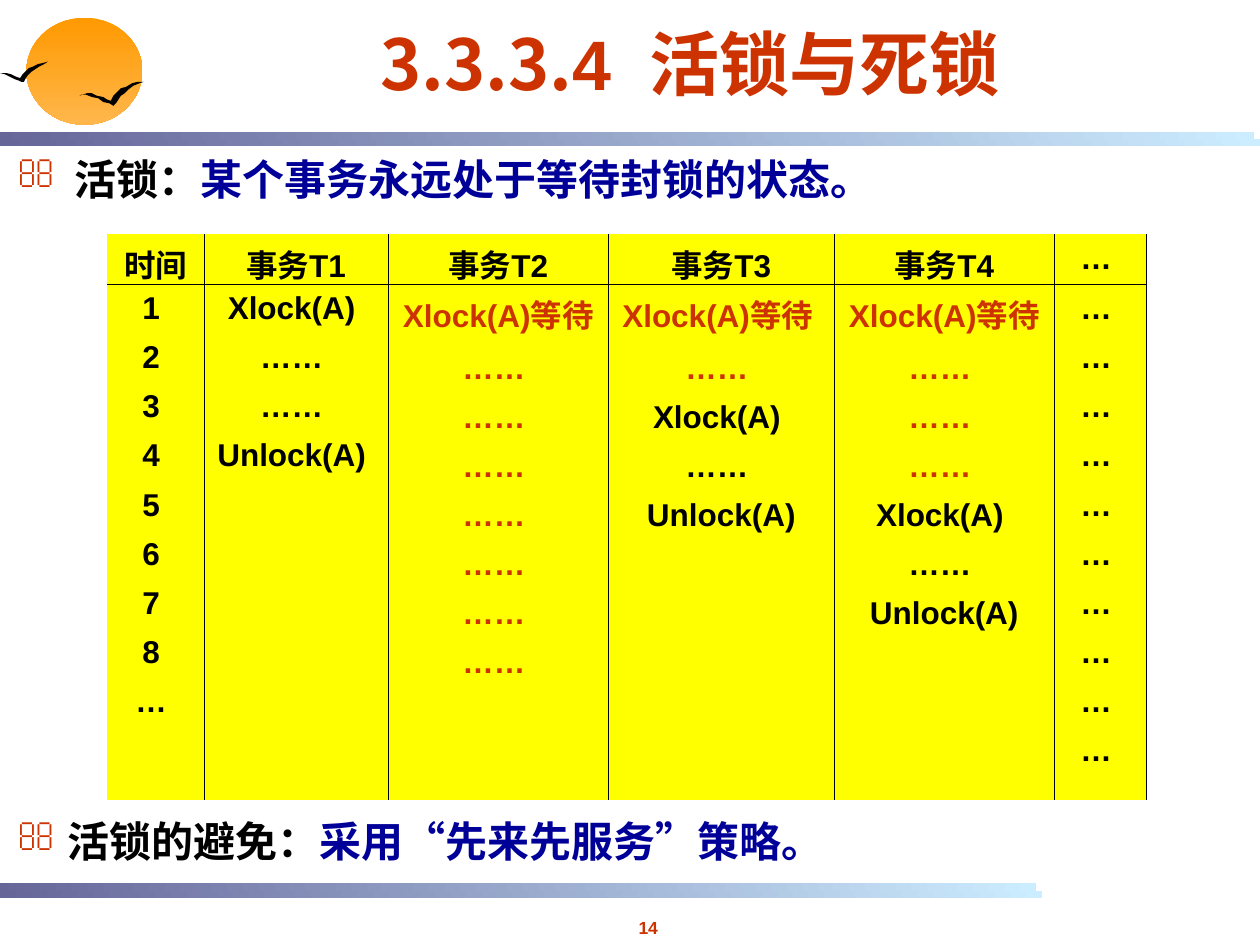
from lxml.etree import SubElement
from pptx import Presentation
from pptx.dml.color import RGBColor
from pptx.enum.shapes import MSO_SHAPE
from pptx.enum.text import MSO_ANCHOR, PP_ALIGN
from pptx.oxml.ns import qn
from pptx.util import Inches, Pt

COLORS = {
    "red": "CC3300", "navy": "000099", "black": "000000", "yellow": "FFFF00",
    "band_start": "666699", "band_end": "CCECFF",
    "sun_top": "FF9900", "sun_bottom": "FFB74C",
}
LATIN, EAST_ASIAN = "Arial", "Noto Sans CJK JP"
NO_GRID_STYLE = "{2D5ABB26-0587-4C30-8999-92F81FD0307C}"

# Content: text runs are (text, format values)
TITLE = [
    ("3.3.3.", {"name": EAST_ASIAN}),
    ("4", {}),
    (" ", {"spacing": 11}),
    ("活锁与死锁", {}),
]
PAGE_NUMBER = [("14", {})]

# Bullets: left, top, width, height, hanging indent, line spacing, runs
BULLETS = [
    (0.04, 1.17, 8.79, 0.56, 0.45, 1.0,
     [("活锁：", {}), ("某个事务永远处于等待封锁的状态。", {"color": "navy"})]),
    (0.04, 6.47, 7.02, 0.46, 0.4, 0.9,
     [("活锁的避免：", {}), ("采用“先来先服务”策略。", {"color": "navy"})]),
]

# Table columns: width, heading, number of waiting (red) lines, lines
WAIT, DOTS, ETC = "Xlock(A)等待 ", "…… ", "… "
SCHEDULE = [
    (0.77, "时间", 0, [f"{step} " for step in range(1, 9)] + [ETC]),
    (1.46, "事务T1", 0, ["Xlock(A) ", DOTS, DOTS, "Unlock(A) "]),
    (1.75, "事务T2", 8, [WAIT] + [DOTS] * 7),
    (1.79, "事务T3", 2, [WAIT, DOTS, "Xlock(A) ", DOTS, "Unlock(A)"]),
    (1.75, "事务T4", 4, [WAIT] + [DOTS] * 3 + ["Xlock(A) ", DOTS, "Unlock(A)"]),
    (0.73, ETC, 0, [ETC] * 10),
]
ROW_HEIGHTS = (0.4, 4.09)

# Bands: left, top, width
BANDS = [(0, 1.1, 10), (0, 7.07, 8.27), (-0.05, 1.05, 10), (-0.05, 7.01, 8.27)]

# Bird outlines, in hundredths of an inch
BIRDS = [
    [(-5, 59), (-2, 58), (5, 58), (9, 59), (13, 61), (16, 62), (18, 59),
     (20, 57), (23, 54), (26, 53), (30, 51), (34, 50), (38, 49), (35, 51),
     (31, 53), (28, 55), (25, 57), (22, 60), (20, 63), (19, 65), (17, 65),
     (15, 64), (12, 63), (8, 61), (4, 59), (0, 58), (-3, 58)],
    [(63, 76), (66, 75), (69, 74), (73, 74), (77, 76), (82, 77), (85, 79),
     (88, 80), (90, 76), (93, 73), (96, 70), (100, 69), (105, 66), (109, 65),
     (114, 65), (111, 66), (106, 68), (102, 71), (99, 74), (96, 76), (94, 79),
     (92, 82), (90, 84), (87, 82), (82, 81), (78, 78), (73, 77), (68, 75),
     (65, 75)],
]


def rgb(name):
    return RGBColor.from_string(COLORS[name])


def write_runs(paragraph, runs, **defaults):
    for text, changes in runs:
        values = {"name": LATIN, "bold": True, "color": "black", **defaults, **changes}
        color, spacing = values.pop("color"), values.pop("spacing", 0)
        run = paragraph.add_run()
        run.text = text
        for attribute, value in values.items():
            setattr(run.font, attribute, value)
        run.font.color.rgb = rgb(color)
        properties = run.font._element
        if spacing:
            properties.set("spc", str(spacing * 100))
        SubElement(properties, qn("a:ea"), typeface=EAST_ASIAN)


def add_text(slide, box, wrap=True, anchor=MSO_ANCHOR.TOP):
    frame = slide.shapes.add_textbox(*map(Inches, box)).text_frame
    frame.word_wrap = wrap
    frame.vertical_anchor = anchor
    return frame.paragraphs[0]


def add_gradient_shape(slide, kind, box, colors, angle=0):
    shape = slide.shapes.add_shape(kind, *map(Inches, box))
    shape.shadow.inherit = False
    shape.line.fill.background()
    shape.fill.gradient()
    shape.fill.gradient_angle = angle
    for stop, position, color in zip(shape.fill.gradient_stops, (0, 1), colors):
        stop.position = position
        stop.color.rgb = rgb(color)


def add_bird(slide, points):
    builder = slide.shapes.build_freeform(*points[0], scale=Inches(0.01))
    builder.add_line_segments(points[1:], close=True)
    bird = builder.convert_to_shape()
    bird.shadow.inherit = False
    bird.fill.solid()
    bird.fill.fore_color.rgb = rgb("black")
    bird.line.fill.background()


def add_bullet(slide, left, top, width, height, indent, spacing, runs):
    paragraph = add_text(slide, (left, top, width, height))
    properties = paragraph._p.get_or_add_pPr()
    properties.set("marL", str(Inches(indent)))
    properties.set("indent", str(-Inches(indent)))
    bullet_color = SubElement(properties, qn("a:buClr"))
    SubElement(bullet_color, qn("a:srgbClr"), val=COLORS["red"])
    SubElement(properties, qn("a:buSzPct"), val="90000")
    SubElement(properties, qn("a:buFont"), typeface="Wingdings", charset="2")
    SubElement(properties, qn("a:buChar"), char="✂")
    paragraph.line_spacing = spacing
    write_runs(paragraph, runs, size=Pt(24))


def fill_cell(cell, lines, sides):
    for index, (text, color) in enumerate(lines):
        frame = cell.text_frame
        paragraph = frame.add_paragraph() if index else frame.paragraphs[0]
        paragraph.alignment = PP_ALIGN.CENTER
        if index:
            paragraph.space_before = Pt(7.9)
        write_runs(paragraph, [(text, {"color": color})], size=Pt(18))
    # Borders come before the fill in the cell properties
    properties = cell._tc.get_or_add_tcPr()
    for side in sides:
        line = SubElement(properties, qn(f"a:ln{side}"), w=str(Pt(0.45)))
        fill = SubElement(line, qn("a:solidFill"))
        SubElement(fill, qn("a:srgbClr"), val=COLORS["black"])
    cell.fill.solid()
    cell.fill.fore_color.rgb = rgb("yellow")


def add_schedule(slide):
    box = (0.85, 1.86, sum(column[0] for column in SCHEDULE), sum(ROW_HEIGHTS))
    table = slide.shapes.add_table(2, len(SCHEDULE), *map(Inches, box)).table
    table._tbl.tblPr.find(qn("a:tableStyleId")).text = NO_GRID_STYLE
    table.first_row = table.horz_banding = False
    for row, height in zip(table.rows, ROW_HEIGHTS):
        row.height = Inches(height)
    for index, (width, heading, waiting, lines) in enumerate(SCHEDULE):
        table.columns[index].width = Inches(width)
        left_side = ["L"] if index else []
        header, body = table.cell(0, index), table.cell(1, index)
        header.margin_bottom = 0
        fill_cell(header, [(heading, "black")], left_side + ["R", "B"])
        colored = [(text, "red" if number < waiting else "black")
                   for number, text in enumerate(lines)]
        fill_cell(body, colored, left_side + ["R", "T"])


def main():
    presentation = Presentation()
    presentation.slide_width, presentation.slide_height = Inches(10), Inches(7.5)
    slide = presentation.slides.add_slide(presentation.slide_layouts[6])

    # Page number
    number = add_text(slide, (4.71, 7.23, 0.87, 0.27), wrap=False)
    number.alignment = PP_ALIGN.CENTER
    write_runs(number, PAGE_NUMBER, size=Pt(10), color="red")

    # Bands, sun and birds
    for left, top, width in BANDS:
        add_gradient_shape(slide, MSO_SHAPE.RECTANGLE, (left, top, width, 0.06),
                           ("band_start", "band_end"))
    add_gradient_shape(slide, MSO_SHAPE.OVAL, (0.21, 0.14, 0.92, 0.85),
                       ("sun_top", "sun_bottom"), angle=270)
    for points in BIRDS:
        add_bird(slide, points)

    # Title
    title = add_text(slide, (1.21, 0.02, 8.53, 0.86), anchor=MSO_ANCHOR.BOTTOM)
    title.alignment = PP_ALIGN.CENTER
    write_runs(title, TITLE, size=Pt(40), color="red")

    # Bullets and schedule table
    for bullet in BULLETS:
        add_bullet(slide, *bullet)
    add_schedule(slide)

    presentation.save("out.pptx")


if __name__ == "__main__":
    main()
